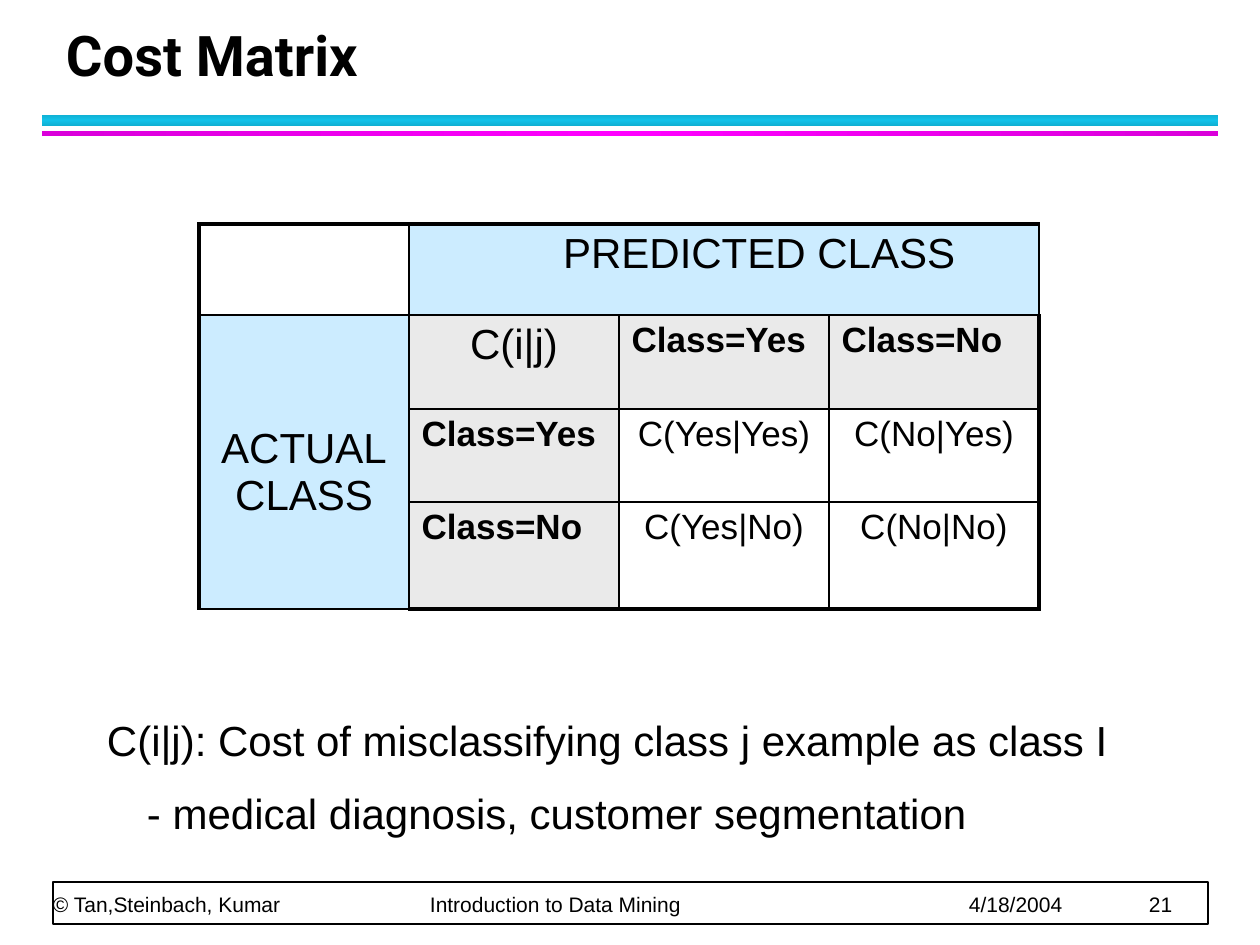
import copy

import pptx
import pptx.dml.color
import pptx.enum.shapes
import pptx.enum.text
import pptx.oxml
import pptx.oxml.ns
import pptx.util
from lxml import etree

RGBColor = pptx.dml.color.RGBColor
ALIGN = pptx.enum.text.PP_ALIGN
ANCHOR = pptx.enum.text.MSO_ANCHOR
BLACK = RGBColor(0x00, 0x00, 0x00)
WHITE = RGBColor(0xFF, 0xFF, 0xFF)
CYAN = RGBColor(0x12, 0xC2, 0xE9)
DARK_CYAN = RGBColor(0x10, 0xB0, 0xD3)
MAGENTA = RGBColor(0xFF, 0x00, 0xFF)
DARK_MAGENTA = RGBColor(0xDA, 0x00, 0xDA)
SKY = RGBColor(0xCC, 0xEC, 0xFF)
GRAY = RGBColor(0xEA, 0xEA, 0xEA)

TITLE = "Cost Matrix"
BARS = [(115, 11, DARK_CYAN, CYAN, 90), (131, 5, DARK_MAGENTA, MAGENTA, 0)]
MATRIX = [
    ["", "PREDICTED CLASS", "", ""],
    ["ACTUAL\vCLASS", "C(i|j)", "Class=Yes", "Class=No"],
    ["", "Class=Yes", "C(Yes|Yes)", "C(No|Yes)"],
    ["", "Class=No", "C(Yes|No)", "C(No|No)"],
]
ROW_HEIGHTS = [91, 94, 93, 107]
COLUMN_WIDTH = 210
NOTES = [
    ("C(i|j): Cost of misclassifying class j example as class I", 0, 0),
    ("- medical diagnosis, customer segmentation", 40, 13),
]
FOOTER = ["© Tan,Steinbach, Kumar", "Introduction to Data Mining", "4/18/2004", "21"]
FOOTER_TABS = [377, 916, 1096]


def px(count):
    return pptx.util.Emu(round(count * 914400 / 126))


def style(para, size, bold=False, name="Arial"):
    for span in para.runs:
        span.font.size = pptx.util.Pt(size)
        span.font.bold = bold
        span.font.name = name
        span.font.color.rgb = BLACK


def add_box(page, place, insets, anchor=ANCHOR.TOP):
    frame = page.shapes.add_textbox(*map(px, place)).text_frame
    frame.word_wrap = True
    frame.vertical_anchor = anchor
    frame.margin_left, frame.margin_top, frame.margin_right, frame.margin_bottom = map(px, insets)
    return frame


def add_rectangle(page, place):
    shape = page.shapes.add_shape(pptx.enum.shapes.MSO_SHAPE.RECTANGLE, *map(px, place))
    shape.shadow.inherit = False
    return shape


def add_bar(page, top, height, edge, middle, angle):
    bar = add_rectangle(page, (42, top, 1176, height))
    bar.line.fill.background()
    bar.fill.gradient()
    bar.fill.gradient_angle = angle
    stop_list = bar.element.spPr.find(".//" + pptx.oxml.ns.qn("a:gsLst"))
    stop_list.append(copy.deepcopy(stop_list[-1]))
    for stop, color, position in zip(bar.fill.gradient_stops, (edge, middle, edge), (0, 0.5, 1)):
        stop.color.rgb = color
        stop.position = position


def add_borders(cell, row, column):
    last = len(MATRIX) - 1
    outer = {"L": column == 0, "R": column == last, "T": row == 0, "B": row == last}
    properties = cell._tc.get_or_add_tcPr()
    for side, is_outer in outer.items():
        width = pptx.util.Pt(2.25 if is_outer else 1)
        properties.append(pptx.oxml.parse_xml(
            f'<a:ln{side} {pptx.oxml.ns.nsdecls("a")} w="{width}"><a:solidFill>'
            f'<a:srgbClr val="{BLACK}"/></a:solidFill></a:ln{side}>'))


def fill_cell(cell, row, column):
    add_borders(cell, row, column)
    is_axis = row == 0 or column == 0
    is_header = row == 1 or column == 1
    if (row, column) == (0, 0) or not (is_axis or is_header):
        cell.fill.background()
    else:
        cell.fill.solid()
        cell.fill.fore_color.rgb = SKY if is_axis else GRAY
    text = MATRIX[row][column]
    if not text:
        return
    is_class = text.startswith("Class")
    cell.text_frame.text = text
    for para in cell.text_frame.paragraphs:
        para.alignment = ALIGN.LEFT if is_class else ALIGN.CENTER
        style(para, 24 if is_axis or (row, column) == (1, 1) else 20, is_class)


def add_matrix(page):
    size = len(MATRIX)
    frame = page.shapes.add_table(
        size, size, px(199), px(224), px(COLUMN_WIDTH * size), px(sum(ROW_HEIGHTS)))
    table = frame.table
    table.first_row = table.horz_banding = False
    for column in table.columns:
        column.width = px(COLUMN_WIDTH)
    for row, height in zip(table.rows, ROW_HEIGHTS):
        row.height = px(height)
    predicted, actual = table.cell(0, 1), table.cell(1, 0)
    predicted.merge(table.cell(0, size - 1))
    actual.merge(table.cell(size - 1, 0))
    for row in range(size):
        for column in range(size):
            fill_cell(table.cell(row, column), row, column)
    predicted.margin_left = px(83)
    actual.margin_top = px(111)


def add_footer(page):
    border = add_rectangle(page, (53, 882, 1155, 42))
    border.fill.solid()
    border.fill.fore_color.rgb = WHITE
    border.line.color.rgb = BLACK
    border.line.width = pptx.util.Pt(1)
    para = add_box(page, (53, 882, 1153, 35), (0, 0, 0, 0), ANCHOR.BOTTOM).paragraphs[0]
    para.text = "\t".join(FOOTER)
    tabs = etree.SubElement(para._p.get_or_add_pPr(), pptx.oxml.ns.qn("a:tabLst"))
    for stop in FOOTER_TABS:
        etree.SubElement(tabs, pptx.oxml.ns.qn("a:tab"), pos=str(px(stop)), algn="l")
    para.line_spacing = pptx.util.Pt(20)
    style(para, 12)


def main():
    deck = pptx.Presentation()
    deck.slide_width, deck.slide_height = px(1260), px(945)
    page = deck.slides.add_slide(deck.slide_layouts[6])
    for bar in BARS:
        add_bar(page, *bar)
    add_footer(page)

    heading = add_box(page, (53, 21, 1142, 73), (13, 6, 13, 6), ANCHOR.BOTTOM).paragraphs[0]
    heading.text = TITLE
    heading.line_spacing = pptx.util.Pt(36)
    style(heading, 32, True, "Roboto")

    add_matrix(page)

    notes = add_box(page, (94, 703, 1081, 126), (13, 11, 13, 6))
    notes.text = "\n".join(text for text, indent, gap in NOTES)
    for para, (text, indent, gap) in zip(notes.paragraphs, NOTES):
        para._p.get_or_add_pPr().set("marL", str(px(indent)))
        para.space_before = pptx.util.Pt(gap)
        style(para, 24)
    deck.save("out.pptx")


if __name__ == "__main__":
    main()
